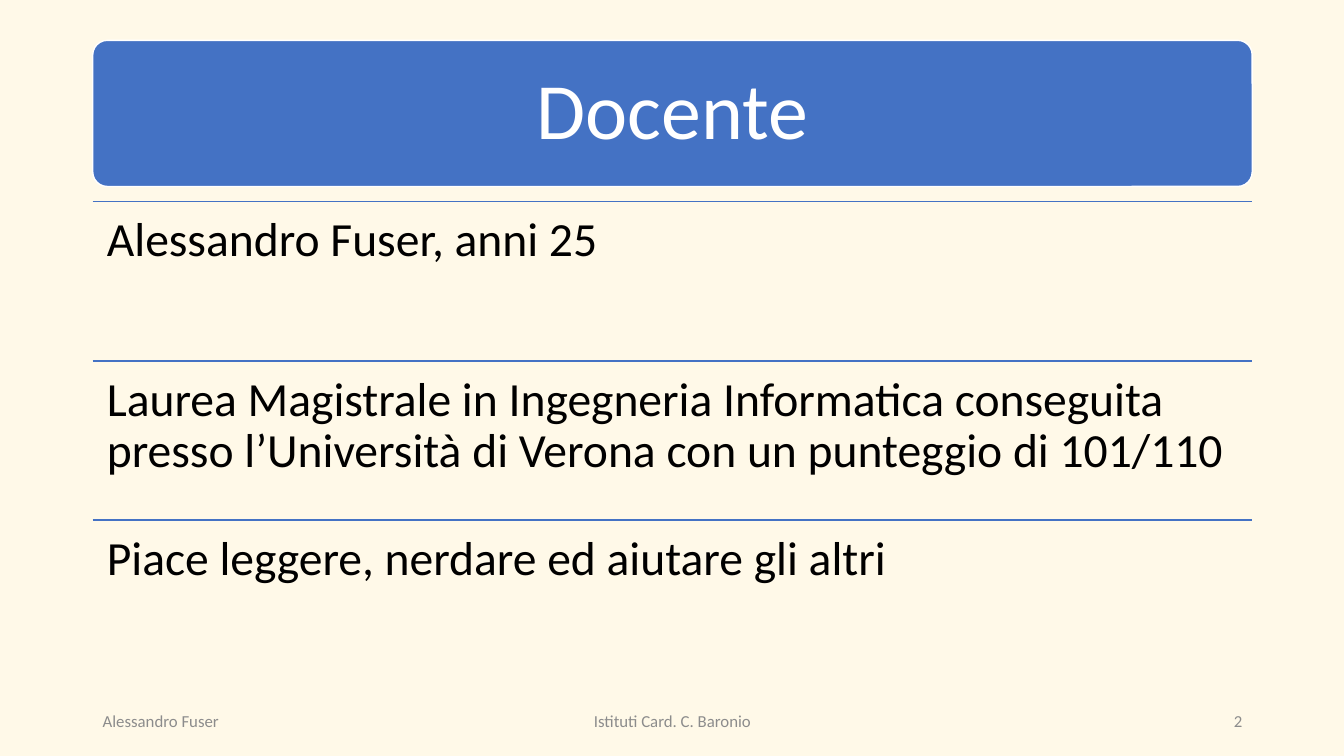
from lxml import etree
from pptx import Presentation
from pptx.dml.color import RGBColor
from pptx.enum.shapes import MSO_CONNECTOR, MSO_SHAPE
from pptx.enum.text import MSO_ANCHOR, PP_ALIGN
from pptx.oxml.ns import qn
from pptx.util import Inches, Pt

LEFT, CENTER, RIGHT = PP_ALIGN.LEFT, PP_ALIGN.CENTER, PP_ALIGN.RIGHT
TOP, MIDDLE = MSO_ANCHOR.TOP, MSO_ANCHOR.MIDDLE
ROUNDED_RECTANGLE = MSO_SHAPE.ROUNDED_RECTANGLE
STRAIGHT = MSO_CONNECTOR.STRAIGHT

CREAM = RGBColor(0xFF, 0xF9, 0xE8)
BLUE = RGBColor(0x44, 0x72, 0xC4)
WHITE = RGBColor(0xFF, 0xFF, 0xFF)
BLACK = RGBColor(0x00, 0x00, 0x00)
GRAY = RGBColor(0x8C, 0x8C, 0x8C)

FONT = "Calibri"
MARGIN = 0.92
CONTENT_WIDTH = 11.5
FIRST_ROW_TOP = 2
ROW_HEIGHT = 1.58

ROWS = (
    "Alessandro Fuser, anni 25",
    "Laurea Magistrale in Ingegneria Informatica conseguita presso "
    "l’Università di Verona con un punteggio di 101/110",
    "Piace leggere, nerdare ed aiutare gli altri",
)
FOOTERS = (
    (MARGIN, 3, "Alessandro Fuser", LEFT),
    (4.42, 4.5, "Istituti Card. C. Baronio", CENTER),
    (9.42, 3, "2", RIGHT),
)


def write_text(shape, text, size, color, alignment, anchor, inset_x, inset_y, line_spacing=1.0):
    frame = shape.text_frame
    frame.text = text
    frame.word_wrap = True
    frame.vertical_anchor = anchor
    frame.margin_left = frame.margin_right = Inches(inset_x)
    frame.margin_top = frame.margin_bottom = Inches(inset_y)
    paragraph = frame.paragraphs[0]
    paragraph.alignment = alignment
    paragraph.line_spacing = line_spacing
    font = paragraph.runs[0].font
    font.name = FONT
    font.size = Pt(size)
    font.color.rgb = color


def add_banner(slide, text):
    banner = slide.shapes.add_shape(
        ROUNDED_RECTANGLE, Inches(MARGIN), Inches(0.4), Inches(CONTENT_WIDTH), Inches(1.45)
    )
    banner.adjustments[0] = 0.1
    banner.shadow.inherit = False
    banner.fill.solid()
    banner.fill.fore_color.rgb = BLUE
    banner.line.color.rgb = WHITE
    banner.line.width = Pt(1)
    write_text(banner, text, 57, WHITE, CENTER, MIDDLE, 0.24, 0.24, 0.9)


def add_rule(slide, top):
    rule = slide.shapes.add_connector(
        STRAIGHT, Inches(MARGIN), Inches(top), Inches(MARGIN + CONTENT_WIDTH), Inches(top)
    )
    rule.line.color.rgb = BLUE
    rule.line.width = Pt(1)
    etree.SubElement(rule._element.spPr, qn("a:effectLst"))


def add_row(slide, top, text):
    """Add a full-width entry with a rule along its top edge."""
    add_rule(slide, top)
    box = slide.shapes.add_textbox(
        Inches(MARGIN), Inches(top), Inches(CONTENT_WIDTH), Inches(ROW_HEIGHT)
    )
    write_text(box, text, 34, BLACK, LEFT, TOP, 0.14, 0.14, 0.9)


def add_footer(slide, left, width, text, alignment):
    box = slide.shapes.add_textbox(Inches(left), Inches(6.95), Inches(width), Inches(0.4))
    write_text(box, text, 12, GRAY, alignment, MIDDLE, 0.1, 0.05)


def main():
    presentation = Presentation()
    presentation.slide_width = Inches(13.33)
    presentation.slide_height = Inches(7.5)
    slide = presentation.slides.add_slide(presentation.slide_layouts[6])
    slide.background.fill.solid()
    slide.background.fill.fore_color.rgb = CREAM

    add_banner(slide, "Docente")
    for index, text in enumerate(ROWS):
        add_row(slide, FIRST_ROW_TOP + index * ROW_HEIGHT, text)
    for left, width, text, alignment in FOOTERS:
        add_footer(slide, left, width, text, alignment)

    presentation.save("out.pptx")


if __name__ == "__main__":
    main()
